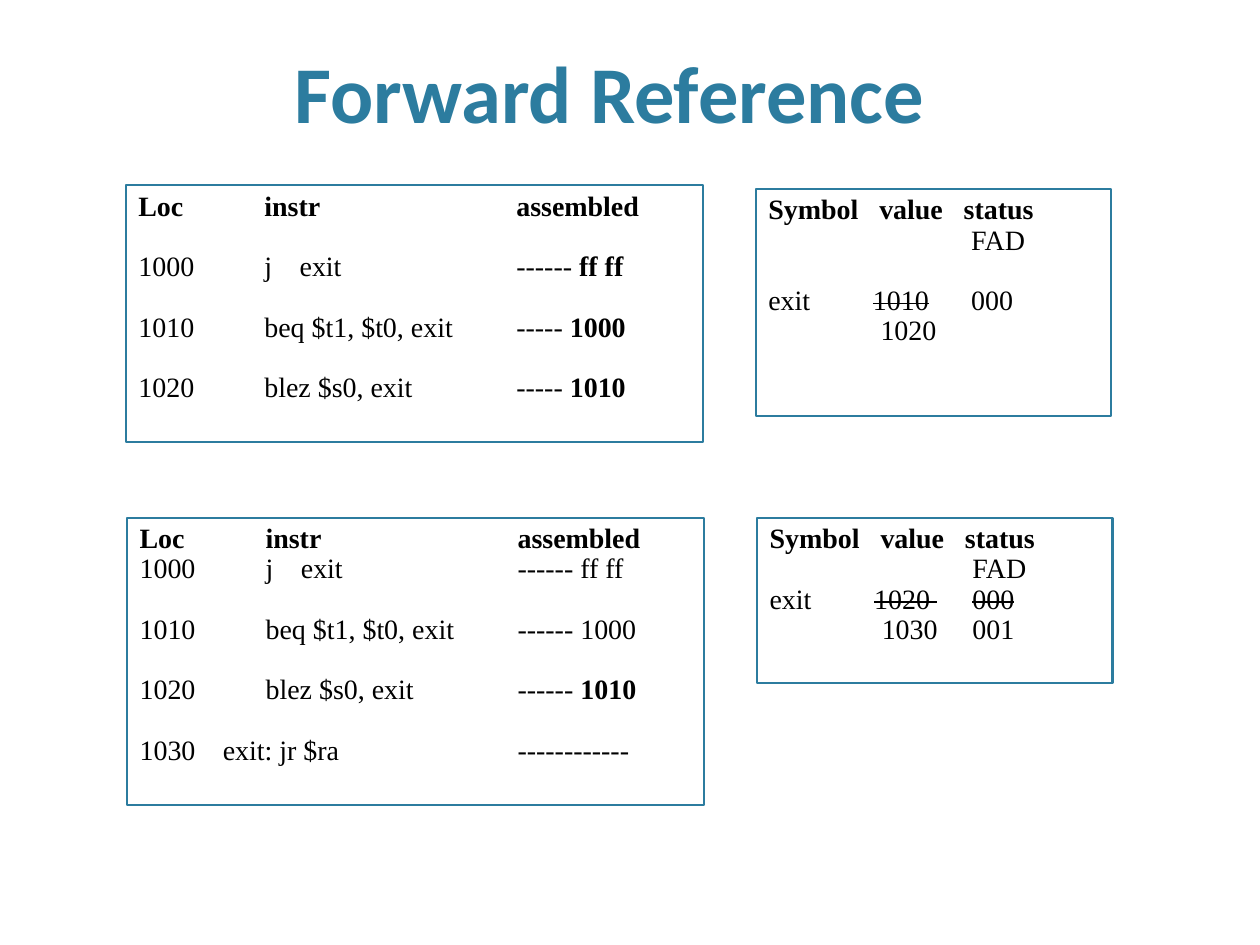
from dataclasses import dataclass

from lxml import etree
from pptx import Presentation
from pptx.dml.color import RGBColor
from pptx.enum.shapes import MSO_SHAPE as Shape
from pptx.enum.text import MSO_ANCHOR as Anchor, MSO_AUTO_SIZE as AutoSize, PP_ALIGN as Align
from pptx.oxml.ns import qn
from pptx.util import Inches, Pt


@dataclass(frozen=True)
class Theme:
    accent = RGBColor(0x2C, 0x7C, 0x9F)
    ink = RGBColor(0, 0, 0)
    title_font = "Calibri"
    body_font = "Times New Roman"
    title_size = Pt(46)
    body_size = Pt(16)
    line_pitch = Pt(17.3)
    line_width = Pt(1.25)


def apply_format(target, values):
    for name, value in values.items():
        setattr(target, name, value)


class SlideBuilder:
    def __init__(self, presentation, theme):
        self.theme = theme
        self.slide = presentation.slides.add_slide(presentation.slide_layouts[5])

    def title(self, text, left, top, width, height):
        shape = self.slide.shapes.title
        apply_format(shape, {"left": Inches(left), "top": Inches(top),
                             "width": Inches(width), "height": Inches(height)})
        frame = shape.text_frame
        frame.text = text
        apply_format(frame, {"vertical_anchor": Anchor.TOP, "auto_size": AutoSize.NONE})
        paragraph = frame.paragraphs[0]
        paragraph.alignment = Align.CENTER
        font = paragraph.runs[0].font
        apply_format(font, {"name": self.theme.title_font, "size": self.theme.title_size,
                            "bold": True})
        font.color.rgb = self.theme.accent

    def listing(self, left, top, width, height, rows):
        shape = self.slide.shapes.add_shape(
            Shape.RECTANGLE, Inches(left), Inches(top), Inches(width), Inches(height))
        shape.shadow.inherit = False
        shape.fill.background()
        shape.line.color.rgb = self.theme.accent
        shape.line.width = self.theme.line_width
        frame = shape.text_frame
        apply_format(frame, {"word_wrap": True, "vertical_anchor": Anchor.TOP,
                             "auto_size": AutoSize.NONE})
        for index, (blank_lines, tabs, parts) in enumerate(rows):
            paragraph = frame.add_paragraph() if index else frame.paragraphs[0]
            self.row(paragraph, blank_lines, tabs, parts)

    def row(self, paragraph, blank_lines, tabs, parts):
        apply_format(paragraph, {"alignment": Align.LEFT,
                                 "line_spacing": self.theme.line_pitch,
                                 "space_before": blank_lines * self.theme.line_pitch})
        tab_list = etree.SubElement(paragraph._p.get_or_add_pPr(), qn("a:tabLst"))
        for position in tabs:
            etree.SubElement(tab_list, qn("a:tab"), pos=str(Inches(position)), algn="l")
        for text, style in parts:
            run = paragraph.add_run()
            run.text = text
            apply_format(run.font, {"name": self.theme.body_font,
                                    "size": self.theme.body_size, "bold": style == "bold"})
            run.font.color.rgb = self.theme.ink
            if style == "strike":
                run._r.get_or_add_rPr().set("strike", "sngStrike")


CODE_TABS = (1, 3)
JUMP_TABS = (1, 1.28, 3)
LABEL_TABS = (0.66, 3)
HEADING_TABS = (0.88, 1.55)
OLD_TABS = (0.83, 1.61)
NEW_TABS = (0.89, 1.61)

CODE_HEADING = (0, CODE_TABS, [("Loc\tinstr\tassembled", "bold")])
SYMBOL_HEADINGS = [
    (0, HEADING_TABS, [("Symbol\tvalue\tstatus", "bold")]),
    (0, NEW_TABS, [("\t\tFAD", "")]),
]

FIRST_CODE = [
    CODE_HEADING,
    (1, JUMP_TABS, [("1000\tj\texit\t------ ", ""), ("ff ff", "bold")]),
    (1, CODE_TABS, [("1010\tbeq $t1, $t0, exit\t----- ", ""), ("1000", "bold")]),
    (1, CODE_TABS, [("1020\tblez $s0, exit\t----- ", ""), ("1010", "bold")]),
]
FIRST_SYMBOLS = SYMBOL_HEADINGS + [
    (1, OLD_TABS, [("exit\t", ""), ("1010", "strike"), ("\t000", "")]),
    (0, NEW_TABS, [("\t1020", "")]),
]
SECOND_CODE = [
    CODE_HEADING,
    (0, JUMP_TABS, [("1000\tj\texit\t------ ff ff", "")]),
    (1, CODE_TABS, [("1010\tbeq $t1, $t0, exit\t------ 1000", "")]),
    (1, CODE_TABS, [("1020\tblez $s0, exit\t------ ", ""), ("1010", "bold")]),
    (1, LABEL_TABS, [("1030\texit: jr $ra\t------------", "")]),
]
SECOND_SYMBOLS = SYMBOL_HEADINGS + [
    (0, OLD_TABS, [("exit\t", ""), ("1020 ", "strike"), ("\t", ""), ("000", "strike")]),
    (0, NEW_TABS, [("\t1030\t001", "")]),
]


def main():
    presentation = Presentation()
    apply_format(presentation, {"slide_width": Inches(10), "slide_height": Inches(7.5)})
    builder = SlideBuilder(presentation, Theme())
    builder.title("Forward Reference", 0.17, 0.29, 9.33, 0.85)
    builder.listing(1, 1.47, 4.58, 2.04, FIRST_CODE)
    builder.listing(6, 1.5, 2.82, 1.8, FIRST_SYMBOLS)
    builder.listing(1.01, 4.11, 4.58, 2.28, SECOND_CODE)
    builder.listing(6.01, 4.11, 2.82, 1.31, SECOND_SYMBOLS)
    presentation.save("out.pptx")


if __name__ == "__main__":
    main()
